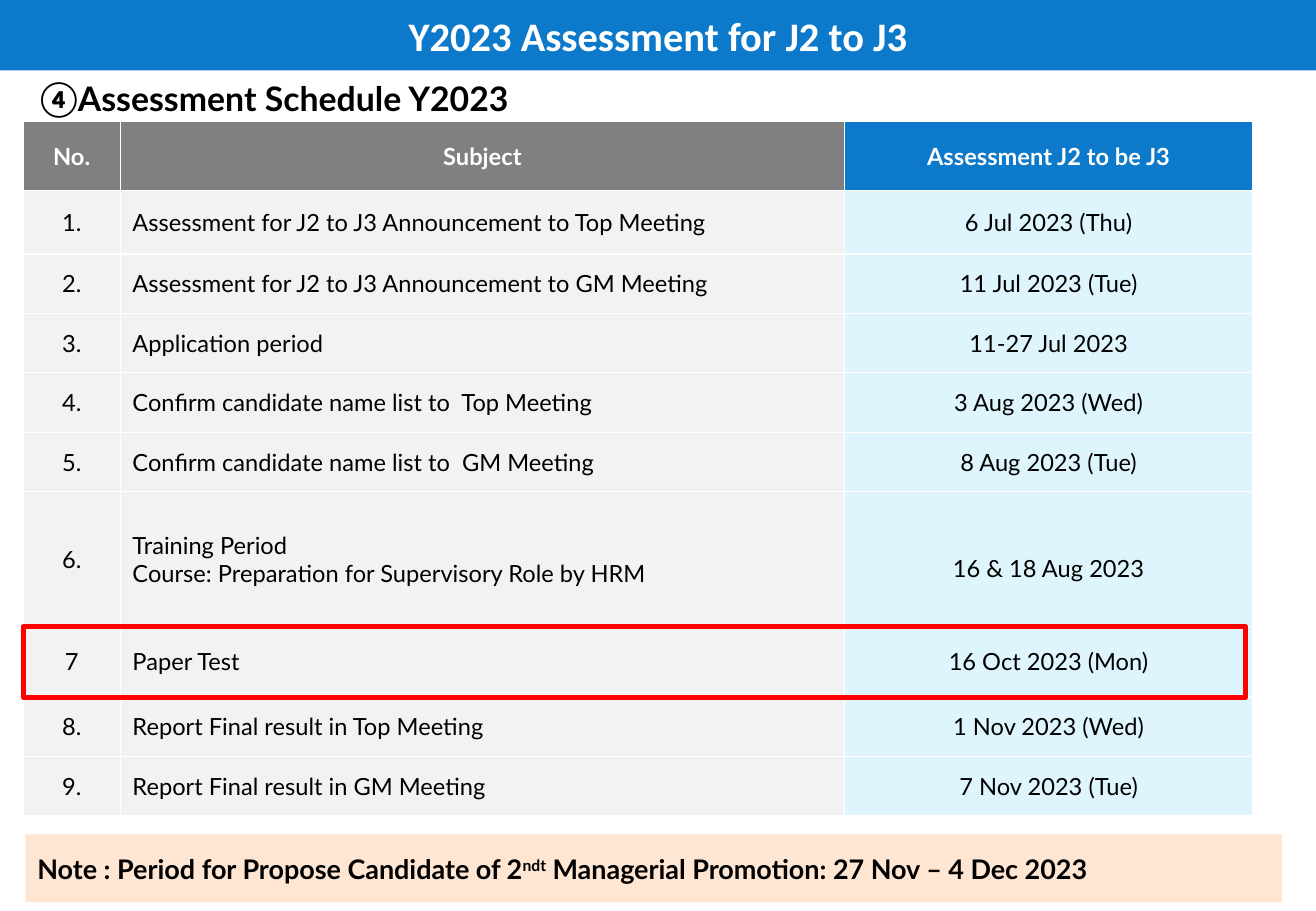
from lxml import etree
from pptx import Presentation
from pptx.dml.color import RGBColor
from pptx.enum import shapes, text
from pptx.oxml import ns
from pptx.util import Inches, Pt

BLUE = RGBColor(0x0D, 0x79, 0xCA)
GRAY = RGBColor(0x80, 0x80, 0x80)
PALE = RGBColor(0xF2, 0xF2, 0xF2)
SKY = RGBColor(0xDF, 0xF5, 0xFD)
PEACH = RGBColor(0xFF, 0xE6, 0xD3)
RED = RGBColor(0xFF, 0x00, 0x00)
BLACK = RGBColor(0x00, 0x00, 0x00)
WHITE = RGBColor(0xFF, 0xFF, 0xFF)

LEFT, MID = text.PP_ALIGN.LEFT, text.PP_ALIGN.CENTER
COLS = [0.8, 5.96, 3.36]
ALIGNS = [MID, LEFT, MID]
ROW = 0.49
HEAD, FIRST, COURSE, TEST = 0.57, 0.52, 1.11, 0.58
HEIGHTS = [HEAD, FIRST] + [ROW] * 4 + [COURSE, TEST] + [ROW] * 2
PLAN = [
    ("No.", "Subject", "Assessment J2 to be J3"),
    ("1.", "Assessment for J2 to J3 Announcement to Top Meeting", "6 Jul 2023 (Thu)"),
    ("2.", "Assessment for J2 to J3 Announcement to GM Meeting", "11 Jul 2023 (Tue)"),
    ("3.", "Application period", "11-27 Jul 2023"),
    ("4.", "Confirm candidate name list to  Top Meeting", "3 Aug 2023 (Wed)"),
    ("5.", "Confirm candidate name list to  GM Meeting", "8 Aug 2023 (Tue)"),
    ("6.", "Training Period\nCourse: Preparation for Supervisory Role by HRM", "16 & 18 Aug 2023"),
    ("7", "Paper Test", "16 Oct 2023 (Mon)"),
    ("8.", "Report Final result in Top Meeting", "1 Nov 2023 (Wed)"),
    ("9.", "Report Final result in GM Meeting", "7 Nov 2023 (Tue)"),
]
COURSE_ROW, TEST_ROW = 6, 7


def place(shape, left, top, width, height):
    shape.left, shape.top = Inches(left), Inches(top)
    shape.width, shape.height = Inches(width), Inches(height)


def style(para, size, color, bold=True, align=LEFT, name="Lato"):
    para.alignment = align
    font = para.font
    font.name, font.size, font.bold = name, Pt(size), bold
    font.color.rgb = color


def paint(shape, color):
    shape.fill.solid()
    shape.fill.fore_color.rgb = color


def banner(title, *box):
    place(title, *box)
    paint(title, BLUE)
    frame = title.text_frame
    frame.text = "Y2023 Assessment for J2 to J3"
    frame.auto_size = text.MSO_AUTO_SIZE.NONE
    frame.vertical_anchor = text.MSO_ANCHOR.MIDDLE
    style(frame.paragraphs[0], 24, WHITE, align=MID, name="Calibri")


def heading(body, *box):
    place(body, *box)
    frame = body.text_frame
    frame.text = "④Assessment Schedule Y2023"
    frame.auto_size = text.MSO_AUTO_SIZE.NONE
    frame.vertical_anchor = text.MSO_ANCHOR.TOP
    para = frame.paragraphs[0]
    para.space_before = Pt(0)
    props = para._p.get_or_add_pPr()
    props.set("marL", "0")
    props.set("indent", "0")
    etree.SubElement(props, ns.qn("a:buNone"))
    style(para, 20, BLACK)


def schedule(slide, left, top):
    width, height = sum(COLS), sum(HEIGHTS)
    frame = slide.shapes.add_table(
        len(PLAN), len(COLS), Inches(left), Inches(top), Inches(width), Inches(height))
    table = frame.table
    for col, size in zip(table.columns, COLS):
        col.width = Inches(size)
    for i, (row, size) in enumerate(zip(table.rows, HEIGHTS)):
        row.height = Inches(size)
        head = i == 0
        fills = [GRAY, GRAY, BLUE] if head else [PALE, PALE, SKY]
        for cell, words, color, align in zip(row.cells, PLAN[i], fills, ALIGNS):
            cell.text = words
            cell.vertical_anchor = text.MSO_ANCHOR.MIDDLE
            paint(cell, color)
            for para in cell.text_frame.paragraphs:
                style(para, 14, WHITE if head else BLACK, head, MID if head else align)
    table.cell(COURSE_ROW, 2).margin_top = Inches(0.21)
    mark(slide, left, top + sum(HEIGHTS[:TEST_ROW]), width - 0.06, TEST)


def block(slide, *box):
    shape = slide.shapes.add_shape(
        shapes.MSO_SHAPE.RECTANGLE, *[Inches(size) for size in box])
    shape.shadow.inherit = False
    return shape


def mark(slide, *box):
    shape = block(slide, *box)
    shape.fill.background()
    shape.line.color.rgb = RED
    shape.line.width = Pt(3)


def note(slide, *box):
    shape = block(slide, *box)
    paint(shape, PEACH)
    shape.line.fill.background()
    frame = shape.text_frame
    frame.word_wrap = True
    frame.vertical_anchor = text.MSO_ANCHOR.MIDDLE
    para = frame.paragraphs[0]
    style(para, 16, BLACK)
    para.add_run().text = "Note : Period for Propose Candidate of 2"
    high = para.add_run()
    high.text = "ndt"
    high._r.get_or_add_rPr().set("baseline", "30000")
    para.add_run().text = " Managerial Promotion: 27 Nov – 4 Dec 2023"


def main():
    deck = Presentation()
    deck.slide_width, deck.slide_height = Inches(10.83), Inches(7.5)
    slide = deck.slides.add_slide(deck.slide_layouts[1])
    banner(slide.shapes.title, 0, 0, 10.83, 0.58)
    heading(slide.placeholders[1], 0.23, 0.59, 10.08, 0.59)
    schedule(slide, 0.19, 1)
    note(slide, 0.21, 6.87, 10.34, 0.56)
    deck.save("out.pptx")


if __name__ == "__main__":
    main()
